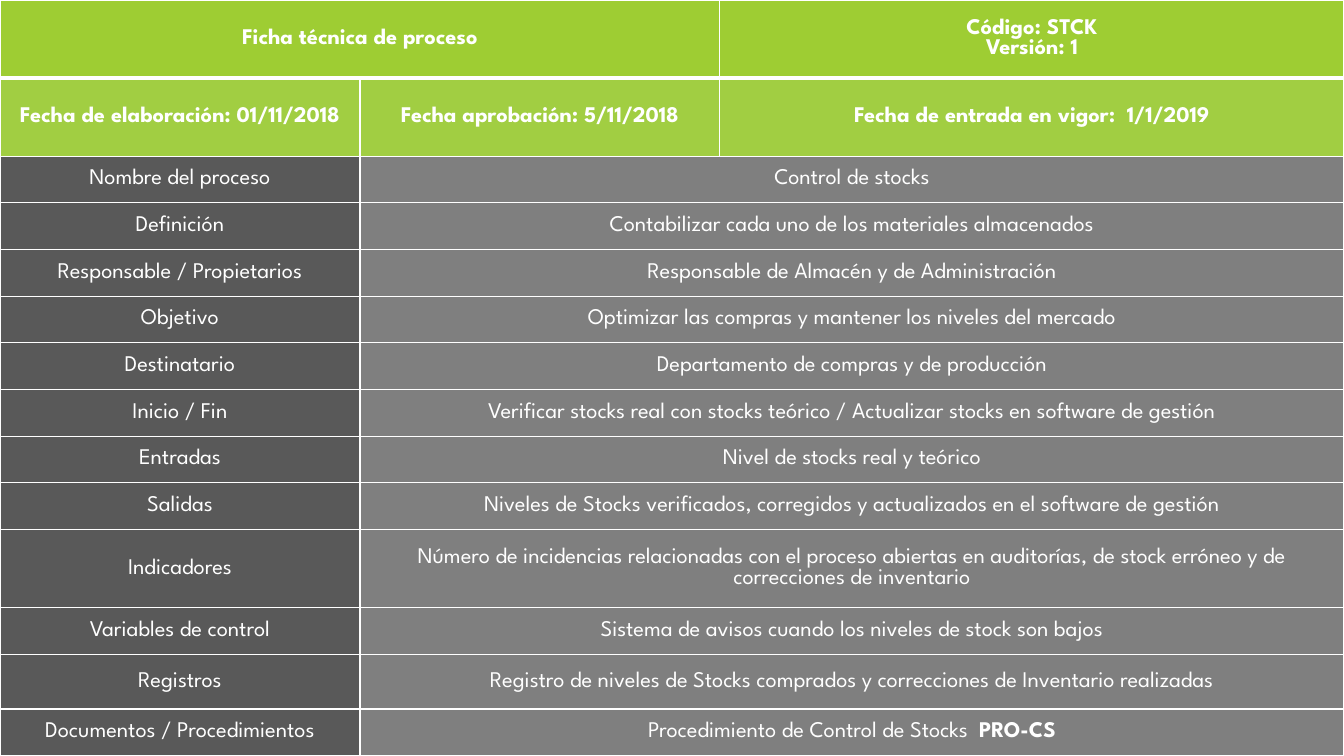
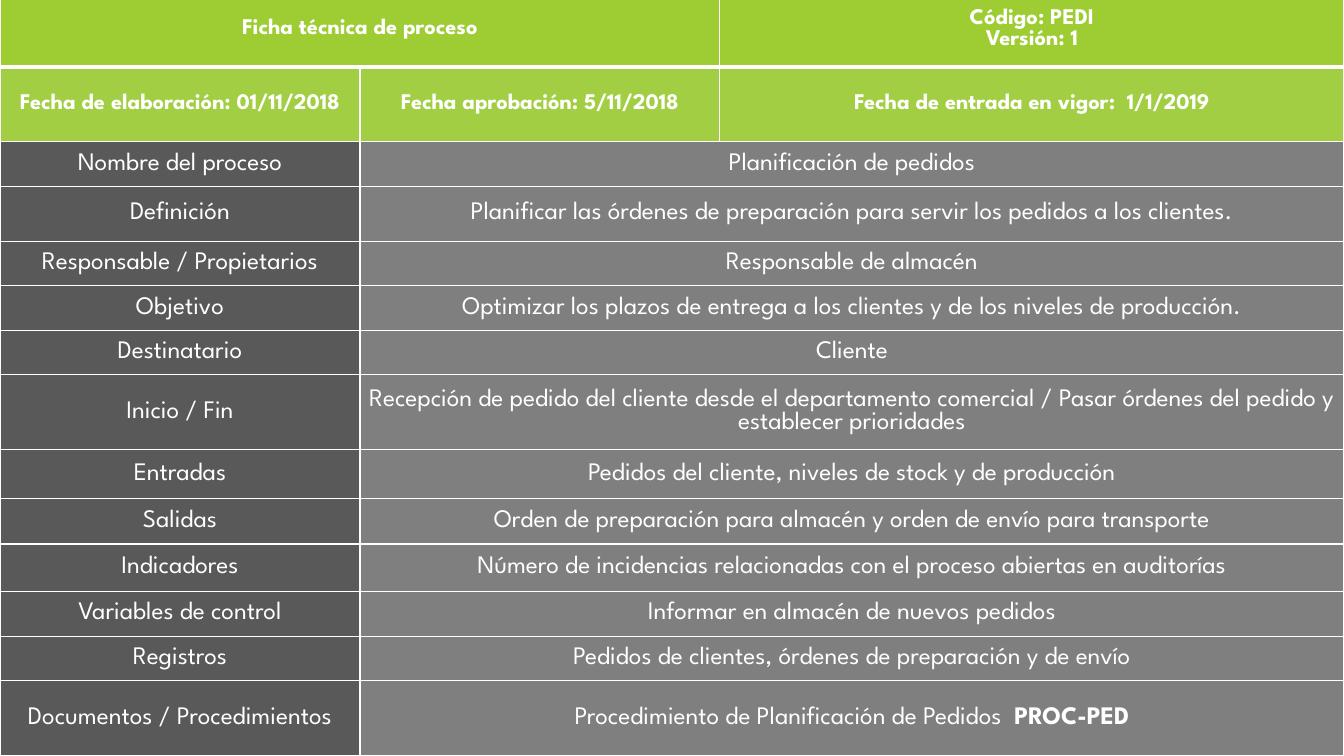
import copy

import lxml.etree
import pptx
import pptx.dml.color
import pptx.enum.text
import pptx.oxml.ns
import pptx.util

WHITE = pptx.dml.color.RGBColor(0xFF, 0xFF, 0xFF)
BACKDROP = pptx.dml.color.RGBColor(0x21, 0x21, 0x21)
TITLE_GREEN = pptx.dml.color.RGBColor(0x9E, 0xCD, 0x33)
DATE_GREEN = pptx.dml.color.RGBColor(0xA1, 0xCE, 0x42)
LABEL_GREY = pptx.dml.color.RGBColor(0x59, 0x59, 0x59)
VALUE_GREY = pptx.dml.color.RGBColor(0x7F, 0x7F, 0x7F)

FONT = "League Spartan"
HEADER_SIZE = 16
INSET = 0.07
SLIDE_WIDTH, SLIDE_HEIGHT = 13.33, 7.5
COLUMN_SHARES = [3.57, 3.57, 6.19]
THIN, THICK = 1, 3

TITLE = "Ficha técnica de proceso"
DATES = [
    "Fecha de elaboración: 01/11/2018",
    "Fecha aprobación: 5/11/2018",
    "Fecha de entrada en vigor: \u00a01/1/2019",
]
LABELS = [
    "Nombre del proceso",
    "Definición",
    "Responsable / Propietarios",
    "Objetivo",
    "Destinatario",
    "Inicio / Fin",
    "Entradas",
    "Salidas",
    "Indicadores",
    "Variables de control",
    "Registros",
    "Documentos / Procedimientos",
]

PROCESSES = [
    {
        "code": "STCK",
        "top": 0,
        "size": 16,
        "rows": [0.77] * 2 + [0.46] * 8 + [0.77, 0.46, 0.54, 0.46],
        "values": [
            "Control de stocks",
            "Contabilizar cada uno de los materiales almacenados",
            "Responsable de Almacén y de Administración",
            "Optimizar las compras y mantener los niveles del mercado",
            "Departamento de compras y de producción",
            "Verificar stocks real con stocks teórico / Actualizar stocks en software de gestión",
            "Nivel de stocks real y teórico",
            "Niveles de Stocks verificados, corregidos y actualizados en el software de gestión",
            "Número de incidencias relacionadas con el proceso abiertas en auditorías, "
            "de stock erróneo y de correcciones de inventario",
            "Sistema de avisos cuando los niveles de stock son bajos",
            "Registro de niveles de Stocks comprados y correcciones de Inventario realizadas",
            "Procedimiento de Control de Stocks \u00a0",
        ],
        "document": "PRO-CS",
    },
    {
        "code": "PEDI",
        "top": -0.08,
        "size": 18,
        "rows": [0.74, 0.74, 0.44, 0.54, 0.44, 0.44, 0.44,
                 0.74, 0.48, 0.45, 0.47, 0.44, 0.44, 0.74],
        "values": [
            "Planificación de pedidos",
            "Planificar las órdenes de preparación para servir los pedidos a los clientes.",
            "Responsable de almacén",
            "Optimizar los plazos de entrega a los clientes y de los niveles de producción.",
            "Cliente",
            "Recepción de pedido del cliente desde el departamento comercial / "
            "Pasar órdenes del pedido y establecer prioridades",
            "Pedidos del cliente, niveles de stock y de producción",
            "Orden de preparación para almacén y orden de envío para transporte",
            "Número de incidencias relacionadas con el proceso abiertas en auditorías",
            "Informar en almacén de nuevos pedidos",
            "Pedidos de clientes, órdenes de preparación y de envío",
            "Procedimiento de Planificación de Pedidos \u00a0",
        ],
        "document": "PROC-PED",
    },
]


def split(total, shares):
    """Divide a length in inches in proportion to the shares."""
    return [pptx.util.Inches(total * share / sum(shares)) for share in shares]


class ProcessDeck:
    """Holds the deck, its style and the current slide."""

    def __init__(self):
        """Start an empty widescreen deck."""
        self.deck = pptx.Presentation()
        self.deck.slide_width = pptx.util.Inches(SLIDE_WIDTH)
        self.deck.slide_height = pptx.util.Inches(SLIDE_HEIGHT)
        self.page = None

    def add_page(self):
        """Add a blank slide with the dark background."""
        self.page = self.deck.slides.add_slide(self.deck.slide_layouts[6])
        fill = self.page.background.fill
        fill.solid()
        fill.fore_color.rgb = BACKDROP

    def add_grid(self, top, row_shares):
        """Add a table that reaches from top to the foot of the slide."""
        height = SLIDE_HEIGHT - top
        frame = self.page.shapes.add_table(
            len(row_shares), len(COLUMN_SHARES), 0, pptx.util.Inches(top),
            self.deck.slide_width, pptx.util.Inches(height))
        table = frame.table
        table.horz_banding = False
        for column, width in zip(table.columns, split(SLIDE_WIDTH, COLUMN_SHARES)):
            column.width = width
        for row, row_height in zip(table.rows, split(height, row_shares)):
            row.height = row_height
        return table

    def style_run(self, run, size, bold):
        """Give a run the shared font."""
        run.font.name = FONT
        run.font.size = pptx.util.Pt(size)
        run.font.bold = bold
        run.font.color.rgb = WHITE

    def set_borders(self, cell, top, bottom):
        """Draw white borders around a cell, widths in points."""
        properties = cell._tc.get_or_add_tcPr()
        edges = {"lnL": THIN, "lnR": THIN, "lnT": top, "lnB": bottom}
        for position, (edge, width) in enumerate(edges.items()):
            line = lxml.etree.Element(pptx.oxml.ns.qn(f"a:{edge}"), w=str(pptx.util.Pt(width)))
            fill = lxml.etree.SubElement(line, pptx.oxml.ns.qn("a:solidFill"))
            lxml.etree.SubElement(fill, pptx.oxml.ns.qn("a:srgbClr"), val=str(WHITE))
            properties.insert(position, line)

    def fill_cell(self, cell, color, top=THIN, bottom=THIN):
        """Colour a cell and set its borders, insets and anchor."""
        cell.fill.solid()
        cell.fill.fore_color.rgb = color
        inset = pptx.util.Inches(INSET)
        cell.margin_left = cell.margin_right = inset
        cell.margin_top = cell.margin_bottom = inset
        cell.vertical_anchor = pptx.enum.text.MSO_ANCHOR.MIDDLE
        self.set_borders(cell, top, bottom)

    def write_cell(self, cell, text, size, bold=False, bold_end=""):
        """Write centred text, optionally ending in a bold part."""
        para = cell.text_frame.paragraphs[0]
        para.text = text
        para.alignment = pptx.enum.text.PP_ALIGN.CENTER
        for run in para.runs:
            self.style_run(run, size, bold)
        for line_break in para._p.findall(pptx.oxml.ns.qn("a:br")):
            line_break.append(copy.deepcopy(para.runs[0].font._element))
        if bold_end:
            run = para.add_run()
            run.text = bold_end
            self.style_run(run, size, True)

    def add_header(self, table, code):
        """Fill the title row and the row of dates."""
        for column, date in enumerate(DATES):
            self.fill_cell(table.cell(0, column), TITLE_GREEN, bottom=THICK)
            self.fill_cell(table.cell(1, column), DATE_GREEN, top=THICK)
            self.write_cell(table.cell(1, column), date, HEADER_SIZE, bold=True)
        table.cell(0, 0).merge(table.cell(0, 1))
        self.write_cell(table.cell(0, 0), TITLE, HEADER_SIZE, bold=True)
        self.write_cell(table.cell(0, 2), f"Código: {code}\vVersión: 1", HEADER_SIZE, bold=True)

    def add_field(self, table, row, label, value, size, document):
        """Fill one row with a label and a value two columns wide."""
        for column, color in enumerate([LABEL_GREY, VALUE_GREY, VALUE_GREY]):
            self.fill_cell(table.cell(row, column), color)
        table.cell(row, 1).merge(table.cell(row, 2))
        self.write_cell(table.cell(row, 0), label, size)
        self.write_cell(table.cell(row, 1), value, size, bold_end=document)

    def add_process(self, process):
        """Add the slide that describes one process."""
        self.add_page()
        table = self.add_grid(process["top"], process["rows"])
        self.add_header(table, process["code"])
        for row, (label, value) in enumerate(zip(LABELS, process["values"]), start=2):
            document = process["document"] if label == LABELS[-1] else ""
            self.add_field(table, row, label, value, process["size"], document)


process_deck = ProcessDeck()
for process in PROCESSES:
    process_deck.add_process(process)
process_deck.deck.save("out.pptx")
